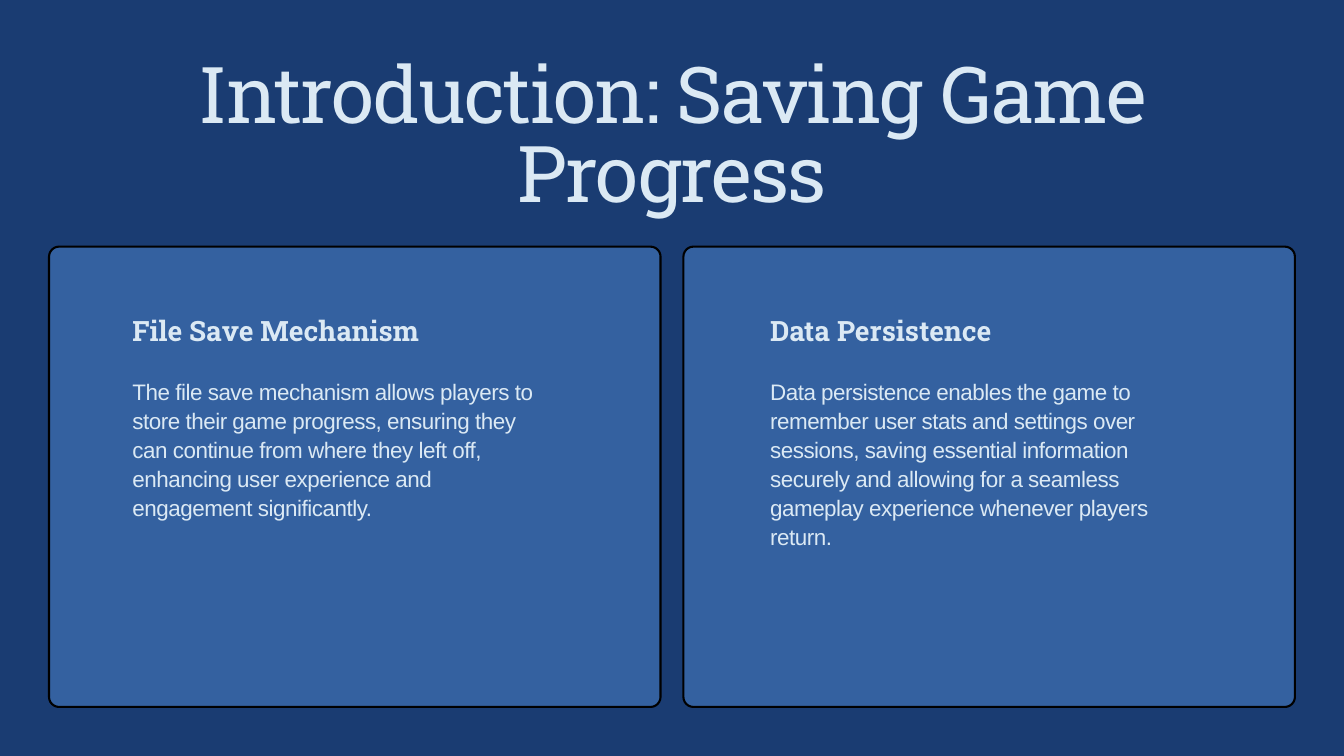
from dataclasses import dataclass

from pptx import Presentation
from pptx.dml.color import RGBColor
from pptx.enum.shapes import MSO_SHAPE
from pptx.enum.text import MSO_ANCHOR, MSO_AUTO_SIZE, PP_ALIGN
from pptx.shapes.base import BaseShape
from pptx.slide import Slide
from pptx.util import Inches, Pt

ROUNDED_RECTANGLE = MSO_SHAPE.ROUNDED_RECTANGLE
TOP = MSO_ANCHOR.TOP
NO_AUTOFIT = MSO_AUTO_SIZE.NONE
LEFT, CENTER = PP_ALIGN.LEFT, PP_ALIGN.CENTER
TITLE_ONLY_LAYOUT = 5


@dataclass(frozen=True)
class TextStyle:
    font: str
    size: float
    line_height: float
    tracking: float = 0
    bold: bool = False
    alignment: PP_ALIGN = LEFT


@dataclass(frozen=True)
class Theme:
    background: RGBColor = RGBColor(0x1A, 0x3C, 0x72)
    card: RGBColor = RGBColor(0x34, 0x61, 0xA0)
    outline: RGBColor = RGBColor(0x00, 0x00, 0x00)
    text: RGBColor = RGBColor(0xDB, 0xE9, 0xF4)
    title: TextStyle = TextStyle("Roboto Slab", 83.9, 83.9, -1.7, alignment=CENTER)
    heading: TextStyle = TextStyle("Roboto Slab", 30, 39, bold=True)
    body: TextStyle = TextStyle("Arial", 24, 31.2, -0.5)


@dataclass(frozen=True)
class Card:
    left: float
    text_left: float
    text_width: float
    heading: str
    body: str


THEME = Theme()
SLIDE_WIDTH, SLIDE_HEIGHT = 20, 11.25
CARD_TOP, CARD_WIDTH, CARD_HEIGHT = 3.67, 9.1, 6.85
CARD_MARGIN, CORNER_RADIUS = 0.73, 0.15
HEADING_TOP, HEADING_HEIGHT = 4.62, 0.52
BODY_TOP, BODY_HEIGHT = 5.59, 2.56

CARDS = (
    Card(
        CARD_MARGIN, 1.97, 6.29,
        "File Save Mechanism",
        "The file save mechanism allows players to store their game progress, "
        "ensuring they can continue from where they left off, enhancing user "
        "experience and engagement significantly.",
    ),
    Card(
        SLIDE_WIDTH - CARD_MARGIN - CARD_WIDTH, 11.46, 6.22,
        "Data Persistence",
        "Data persistence enables the game to remember user stats and settings "
        "over sessions, saving essential information securely and allowing for "
        "a seamless gameplay experience whenever players return.",
    ),
)


def write_text(shape: BaseShape, text: str, style: TextStyle) -> None:
    """Fill a shape with one styled paragraph, without insets."""
    frame = shape.text_frame
    frame.word_wrap = True
    frame.auto_size = NO_AUTOFIT
    frame.vertical_anchor = TOP
    frame.margin_left = frame.margin_right = 0
    frame.margin_top = frame.margin_bottom = 0

    paragraph = frame.paragraphs[0]
    paragraph.alignment = style.alignment
    paragraph.line_spacing = Pt(style.line_height)
    paragraph.space_before = Pt(0)
    paragraph.font.name = style.font
    paragraph.font.size = Pt(style.size)
    paragraph.font.bold = style.bold
    paragraph.font.color.rgb = THEME.text

    run = paragraph.add_run()
    run.text = text
    if style.tracking:
        run._r.get_or_add_rPr().set("spc", str(round(style.tracking * 100)))


def add_title(slide: Slide, text: str) -> None:
    title = slide.shapes.title
    title.left, title.top = Inches(2.3), Inches(0.91)
    title.width, title.height = Inches(15.4), Inches(2.37)
    write_text(title, text, THEME.title)


def add_card(slide: Slide, card: Card) -> None:
    # Rounded panel
    panel = slide.shapes.add_shape(
        ROUNDED_RECTANGLE, Inches(card.left), Inches(CARD_TOP),
        Inches(CARD_WIDTH), Inches(CARD_HEIGHT),
    )
    panel.adjustments[0] = CORNER_RADIUS / CARD_HEIGHT
    panel.shadow.inherit = False
    panel.fill.solid()
    panel.fill.fore_color.rgb = THEME.card
    panel.line.color.rgb = THEME.outline
    panel.line.width = Pt(2.25)

    # Heading and body text
    for text, style, top, height in (
        (card.heading, THEME.heading, HEADING_TOP, HEADING_HEIGHT),
        (card.body, THEME.body, BODY_TOP, BODY_HEIGHT),
    ):
        box = slide.shapes.add_textbox(
            Inches(card.text_left), Inches(top),
            Inches(card.text_width), Inches(height),
        )
        write_text(box, text, style)


def main() -> None:
    presentation = Presentation()
    presentation.slide_width = Inches(SLIDE_WIDTH)
    presentation.slide_height = Inches(SLIDE_HEIGHT)
    slide = presentation.slides.add_slide(presentation.slide_layouts[TITLE_ONLY_LAYOUT])
    slide.background.fill.solid()
    slide.background.fill.fore_color.rgb = THEME.background

    add_title(slide, "Introduction: Saving Game Progress")
    for card in CARDS:
        add_card(slide, card)

    presentation.save("out.pptx")


if __name__ == "__main__":
    main()
